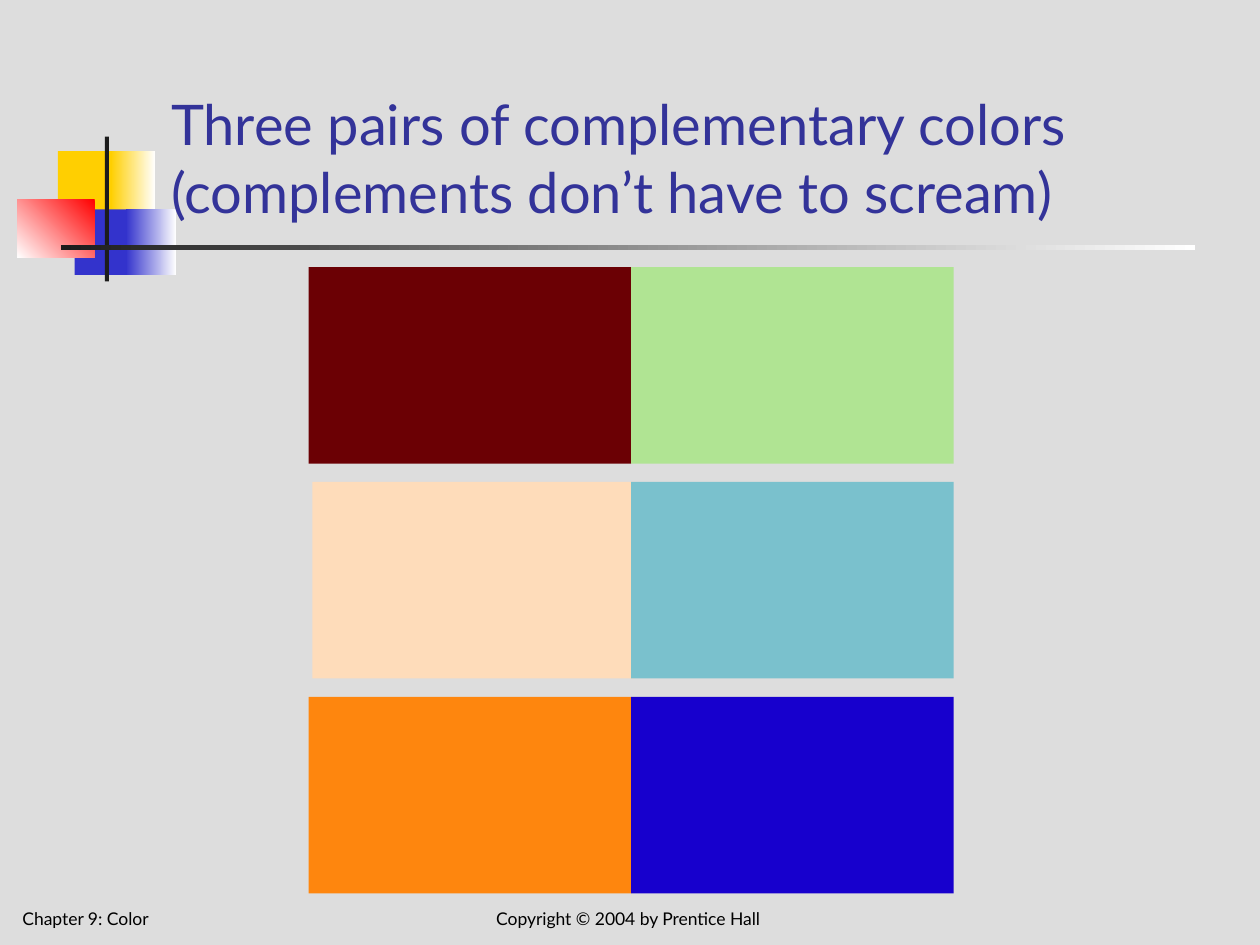
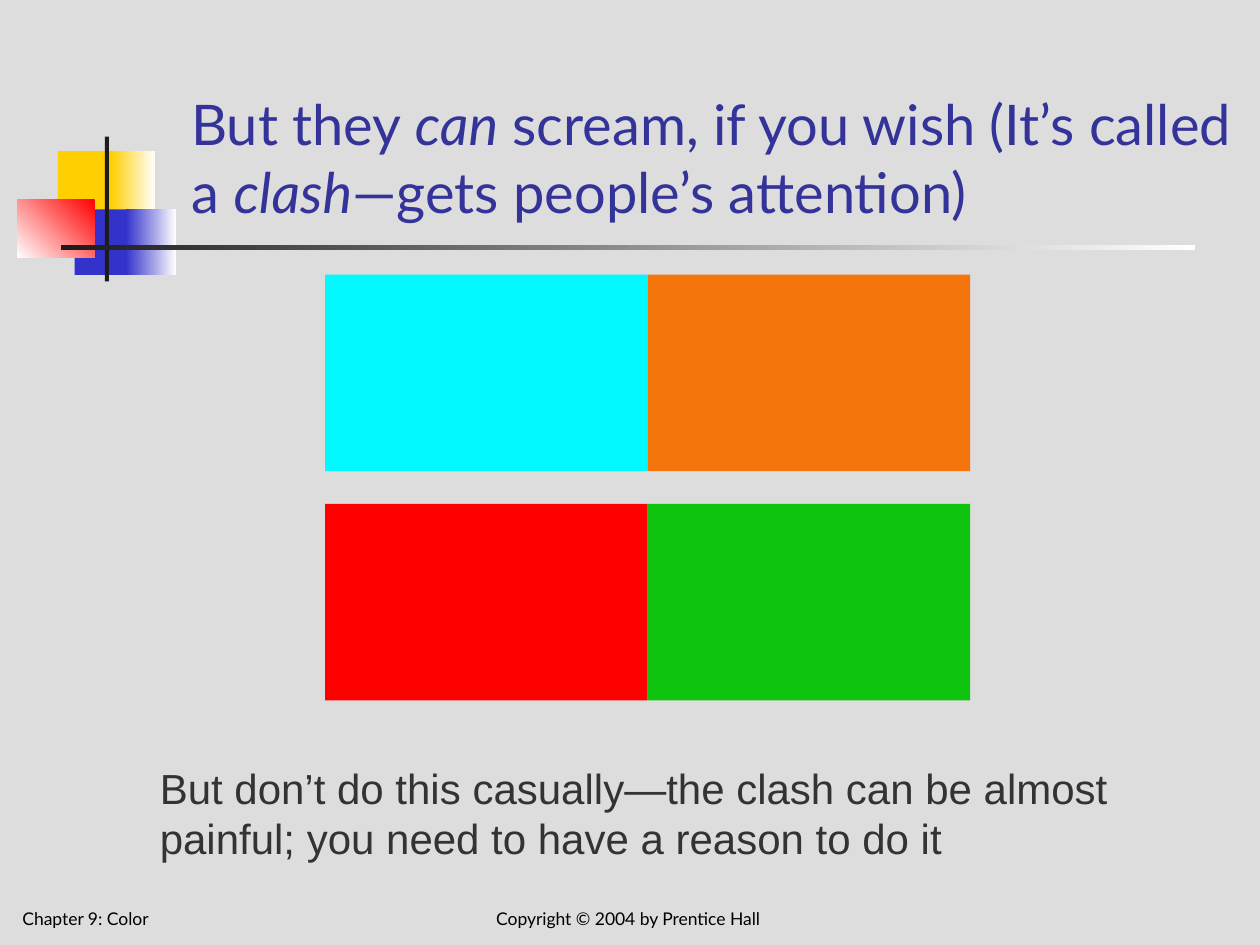
from typing import NamedTuple

from pptx import Presentation
from pptx.dml.color import RGBColor
from pptx.enum.shapes import MSO_SHAPE
from pptx.enum.text import MSO_ANCHOR, PP_ALIGN
from pptx.util import Pt

RECTANGLE = MSO_SHAPE.RECTANGLE
TOP, BOTTOM = MSO_ANCHOR.TOP, MSO_ANCHOR.BOTTOM
LEFT, CENTER = PP_ALIGN.LEFT, PP_ALIGN.CENTER

BACKGROUND = "DDDDDD"
WHITE = "FFFFFF"
YELLOW = "FFCF01"
BLUE = "3333CC"
RED = "FF0000"
INK = "1C1C1C"
SWATCH_WIDTH, SWATCH_HEIGHT = 184.32, 112.32


class Box(NamedTuple):
    left: float
    top: float
    width: float
    height: float


class Fill(NamedTuple):
    """A plain colour, or a gradient when an end colour is given; angle is counter-clockwise."""
    start: str
    end: str = ""
    angle: float = 180


class Style(NamedTuple):
    font: str
    size: float
    color: str
    anchor: MSO_ANCHOR = BOTTOM
    align: PP_ALIGN = LEFT


class Span(NamedTuple):
    text: str
    italic: bool = False


class Pair(NamedTuple):
    first: str
    complement: str
    first_shift: float = 0


class PairStack(NamedTuple):
    left: float
    top: float
    step: float
    pairs: list[Pair]


TITLE = Style("Lato", 32, "333399")
REMARK = Style("Arial", 24, "333333", TOP)
CHAPTER = Style("Lato", 10, "000000")
COPYRIGHT = CHAPTER._replace(align=CENTER)

ORNAMENT = [
    (Box(33.12, 86.4, 34.56, 37.44), Fill(YELLOW)),
    (Box(63.36, 86.4, 25.4, 37.44), Fill(WHITE, YELLOW)),
    (Box(42.6, 119.7, 33.12, 37.44), Fill(BLUE)),
    (Box(72, 119.7, 28.8, 37.44), Fill(WHITE, BLUE)),
    (Box(9.9, 113.8, 44.2, 33.4), Fill(RED, WHITE, 225)),
    (Box(59.9, 78, 2.4, 82.8), Fill(INK)),
    (Box(34.8, 140.2, 648, 2.4), Fill(WHITE, INK)),
]

MILD_PAIRS = PairStack(176.4, 152.64, 122.8, [
    Pair("6B0004", "B0E493"),
    Pair("FEDCBA", "7AC1CD", 2.16),
    Pair("FE860E", "1700CD"),
])
CLASHING_PAIRS = PairStack(185.76, 156.96, 131, [
    Pair("01F9FF", "F4750C"),
    Pair(RED, "0EC40E"),
])


def rgb(code: str) -> RGBColor:
    return RGBColor.from_string(code)


def add_block(shapes, box: Box, fill: Fill) -> None:
    block = shapes.add_shape(RECTANGLE, *map(Pt, box))
    block.shadow.inherit = False
    block.line.fill.background()
    if fill.end:
        block.fill.gradient()
        block.fill.gradient_angle = fill.angle
        for stop, color in zip(block.fill.gradient_stops, (fill.start, fill.end)):
            stop.color.rgb = rgb(color)
    else:
        block.fill.solid()
        block.fill.fore_color.rgb = rgb(fill.start)


def add_text(slide, box: Box, style: Style, spans: list[Span]) -> None:
    frame = slide.shapes.add_textbox(*map(Pt, box)).text_frame
    frame.word_wrap = True
    frame.vertical_anchor = style.anchor
    paragraph = frame.paragraphs[0]
    paragraph.alignment = style.align
    for span in spans:
        run = paragraph.add_run()
        run.text = span.text
        run.font.name = style.font
        run.font.size = Pt(style.size)
        run.font.italic = span.italic
        run.font.color.rgb = rgb(style.color)


def add_pairs(slide, stack: PairStack) -> None:
    for row, pair in enumerate(stack.pairs):
        swatches = slide.shapes.add_group_shape().shapes
        first = Box(stack.left + pair.first_shift, stack.top + row * stack.step,
                    SWATCH_WIDTH, SWATCH_HEIGHT)
        add_block(swatches, first, Fill(pair.first))
        add_block(swatches, first._replace(left=stack.left + SWATCH_WIDTH),
                  Fill(pair.complement))


def add_color_slide(deck, title_left: float, title: list[Span], stack: PairStack):
    """Add a slide with the shared ornament and footers, a title and colour pairs."""
    slide = deck.slides.add_slide(deck.slide_layouts[6])
    slide.background.fill.solid()
    slide.background.fill.fore_color.rgb = rgb(BACKGROUND)
    for box, fill in ORNAMENT:
        add_block(slide.shapes, box, fill)
    add_text(slide, Box(title_left, 16.56, 613.44, 115.2), TITLE, title)
    add_pairs(slide, stack)
    add_text(slide, Box(244.8, 498.24, 228.24, 36), COPYRIGHT,
             [Span("Copyright © 2004 by Prentice Hall")])
    add_text(slide, Box(5.76, 498.24, 203.76, 36), CHAPTER, [Span("Chapter 9: Color")])
    return slide


def main() -> None:
    deck = Presentation()
    deck.slide_width, deck.slide_height = Pt(720), Pt(540)
    add_color_slide(
        deck, 90.72,
        [Span("Three pairs of complementary colors (complements don’t have to scream)")],
        MILD_PAIRS)
    clash = add_color_slide(
        deck, 102.24,
        [Span("But they "), Span("can", True),
         Span(" scream, if you wish (It’s called a "), Span("clash", True),
         Span("—gets people’s attention)")],
        CLASHING_PAIRS)
    add_text(clash, Box(84.24, 432, 635.76, 64.8), REMARK,
             [Span("But don’t do this casually—the clash can be almost painful; "
                   "you need to have a reason to do it")])
    deck.save("out.pptx")


if __name__ == "__main__":
    main()
